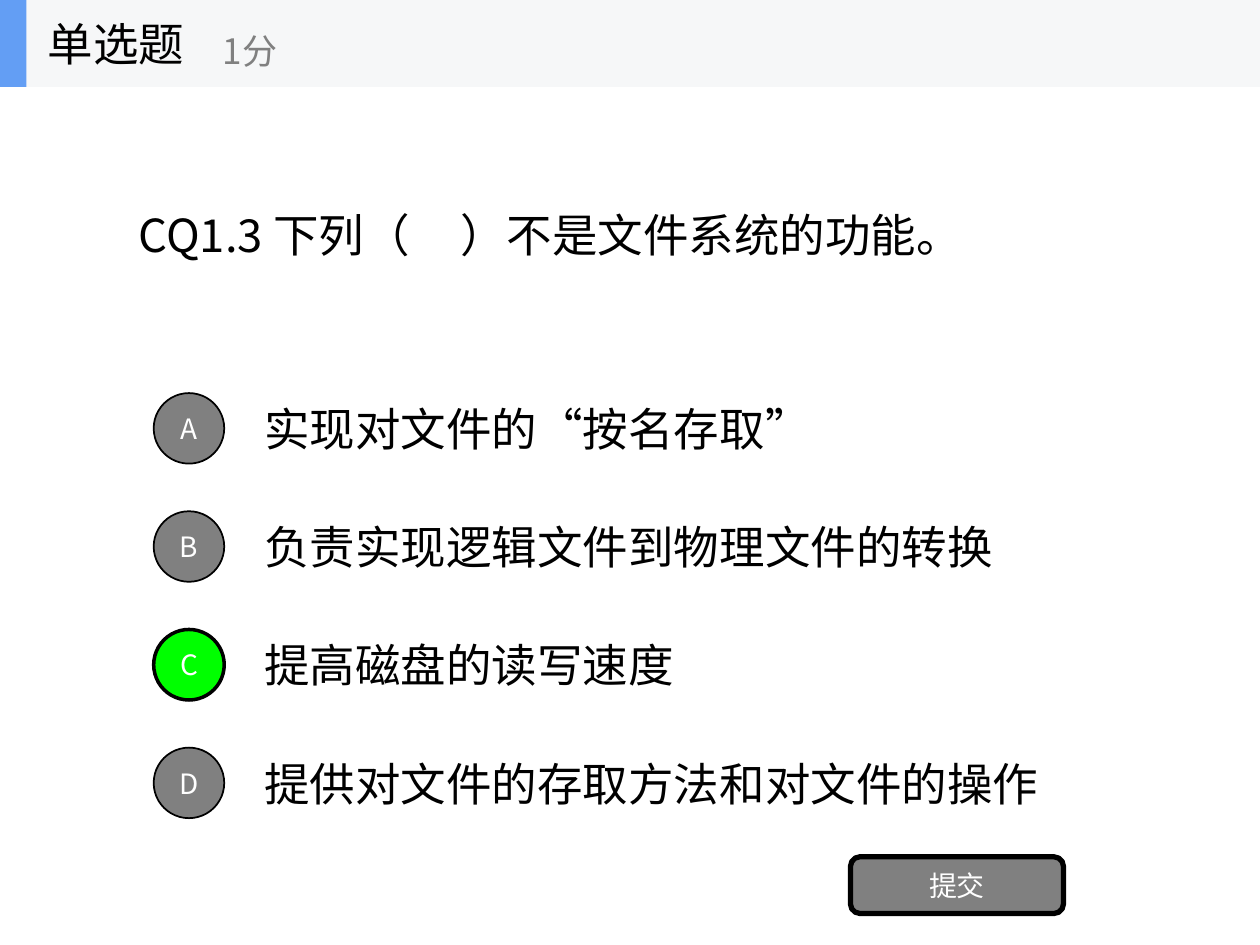
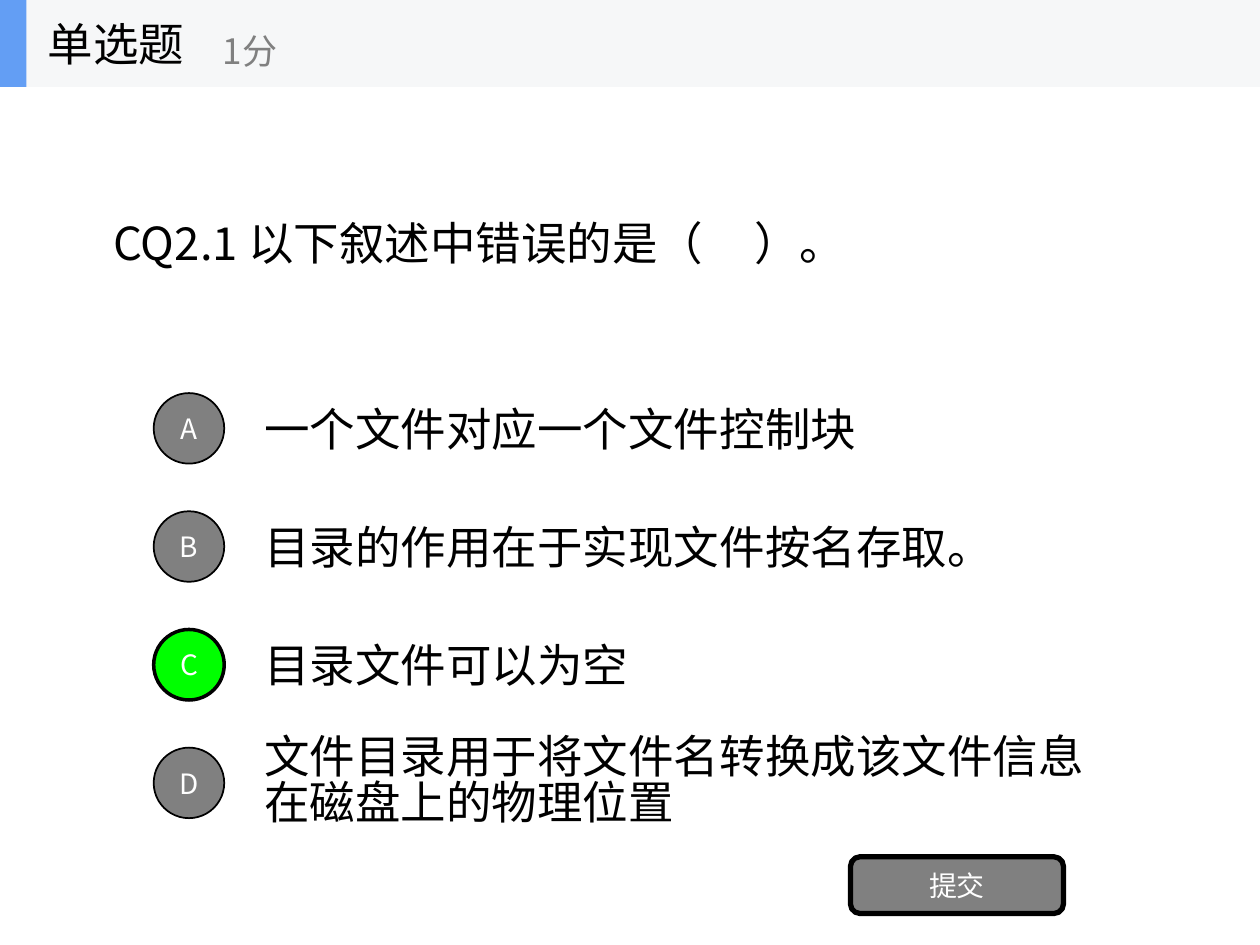
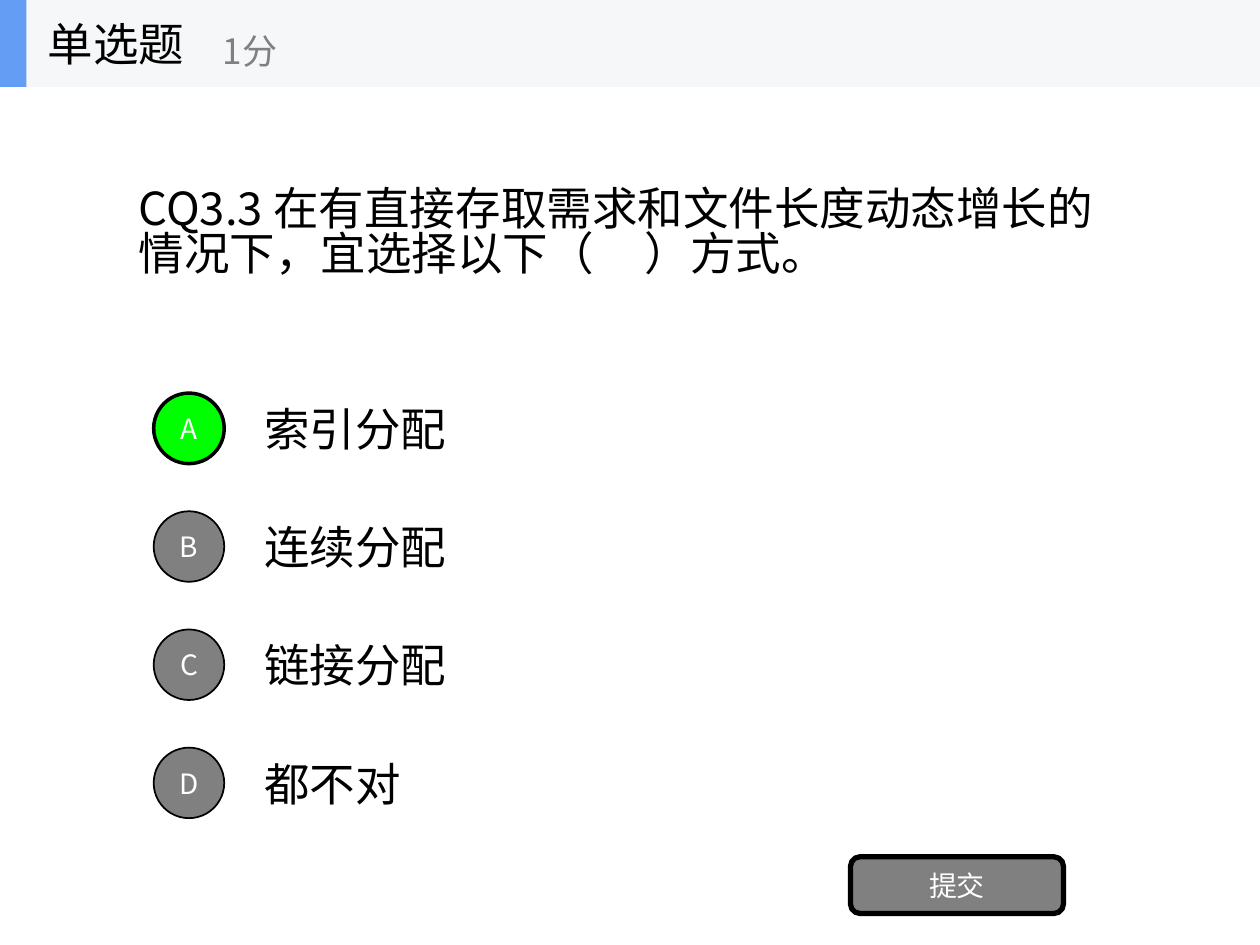
from dataclasses import dataclass

from lxml import etree
from pptx import Presentation
from pptx.dml.color import RGBColor
from pptx.enum.shapes import MSO_SHAPE
from pptx.enum.text import MSO_ANCHOR, MSO_AUTO_SIZE, PP_ALIGN
from pptx.oxml.ns import qn
from pptx.util import Inches, Pt

RECT = MSO_SHAPE.RECTANGLE
ROUNDED = MSO_SHAPE.ROUNDED_RECTANGLE
CIRCLE = MSO_SHAPE.OVAL
MIDDLE = MSO_ANCHOR.MIDDLE
NO_FIT = MSO_AUTO_SIZE.NONE
LEFT = PP_ALIGN.LEFT
CENTER = PP_ALIGN.CENTER

FONT = "Noto Sans CJK SC"
BLACK = "000000"
WHITE = "FFFFFF"
GRAY = "808080"
GREEN = "00FF00"
BLUE = "639EF4"
BAND = "F6F7F8"

WIDTH, HEIGHT = Inches(10), Inches(7.5)
COLUMNS, ROWS = 100, 75
TITLE_ONLY = 5
LINE_SPACING = 0.83
OPTION_PITCH = 9.38


@dataclass
class Box:
    left: float
    top: float
    width: float
    height: float

    def inner(self, left, top, width, height):
        return Box(self.left + left, self.top + top, width, height)

    def lengths(self):
        column, row = WIDTH / COLUMNS, HEIGHT / ROWS
        return (round(self.left * column), round(self.top * row),
                round(self.width * column), round(self.height * row))


PAGE = Box(0, 0, COLUMNS, ROWS)
HEADER = PAGE.inner(0, 0, COLUMNS, 6.9)
OPTIONS = PAGE.inner(12.2, 30.5, 77.8, 4 * OPTION_PITCH)
SUBMIT = PAGE.inner(67.5, 68, 16.9, 4.5)


def color(hex_value):
    return RGBColor.from_string(hex_value)


def write(shape, text, size=26, ink=BLACK, align=LEFT, spacing=None, inset=None):
    frame = shape.text_frame
    frame.word_wrap = True
    frame.auto_size = NO_FIT
    frame.vertical_anchor = MIDDLE
    if inset is not None:
        frame.margin_left = frame.margin_right = inset
        frame.margin_top = frame.margin_bottom = inset
    paragraph = frame.paragraphs[0]
    paragraph.alignment = align
    paragraph.line_spacing = spacing
    run = paragraph.add_run()
    run.text = text
    run.font.size = Pt(size)
    run.font.name = FONT
    run.font.color.rgb = color(ink)
    etree.SubElement(run.font._element, qn("a:ea"), typeface=FONT)


def add_label(shapes, box, text, **style):
    write(shapes.add_textbox(*box.lengths()), text, **style)


def add_block(shapes, kind, box, fill, line_width=0):
    block = shapes.add_shape(kind, *box.lengths())
    block.shadow.inherit = False
    block.fill.solid()
    block.fill.fore_color.rgb = color(fill)
    if line_width:
        block.line.color.rgb = color(BLACK)
        block.line.width = Pt(line_width)
    else:
        block.line.fill.background()
    return block


def add_question(slide, box, question):
    title = slide.shapes.title
    title.left, title.top, title.width, title.height = box.lengths()
    write(title, question, spacing=LINE_SPACING if len(question) > 30 else None)


def add_options(slide, box, options, answer):
    for index, (letter, option) in enumerate(zip("ABCD", options)):
        row = box.inner(0, index * OPTION_PITCH, box.width, 7)
        add_label(slide.shapes, row.inner(7.8, 0, 70, 7), option,
                  spacing=LINE_SPACING if len(option) > 20 else None)
        correct = letter == answer
        badge = add_block(slide.shapes, CIRCLE, row.inner(0, 0.7, 5.6, 5.6),
                          GREEN if correct else GRAY, 2 if correct else 1)
        write(badge, letter, size=16, ink=WHITE, align=CENTER, inset=0)


def add_submit(slide, box):
    button = add_block(slide.shapes, ROUNDED, box, GRAY, 3)
    write(button, "提交", size=16, ink=WHITE, align=CENTER, inset=0)


def add_header(slide, box):
    header = slide.shapes.add_group_shape().shapes
    add_block(header, RECT, box, BAND)
    add_block(header, RECT, box.inner(0, 0, 2.1, box.height), BLUE)
    add_label(header, box.inner(2.8, 0, 20.8, box.height), "单选题")
    add_label(header, box.inner(16.7, 1.2, 25, 5.6), "1分", size=20, ink=GRAY)


def add_quiz_slide(deck, question, options, answer, corner=(10, 6.9)):
    slide = deck.slides.add_slide(deck.slide_layouts[TITLE_ONLY])
    add_question(slide, PAGE.inner(*corner, 80, 23.4), question)
    add_options(slide, OPTIONS, options, answer)
    add_submit(slide, SUBMIT)
    add_header(slide, HEADER)


def main():
    deck = Presentation()
    deck.slide_width, deck.slide_height = WIDTH, HEIGHT
    add_quiz_slide(
        deck, "CQ1.3 下列（     ）不是文件系统的功能。",
        ["实现对文件的“按名存取”", "负责实现逻辑文件到物理文件的转换",
         "提高磁盘的读写速度", "提供对文件的存取方法和对文件的操作"], "C")
    add_quiz_slide(
        deck, "CQ2.1 以下叙述中错误的是（     ）。",
        ["一个文件对应一个文件控制块", "目录的作用在于实现文件按名存取。",
         "目录文件可以为空",
         "文件目录用于将文件名转换成该文件信息在磁盘上的物理位置"],
        "C", corner=(8, 7.5))
    add_quiz_slide(
        deck, "CQ3.3 在有直接存取需求和文件长度动态增长的情况下，宜选择以下（     ）方式。",
        ["索引分配", "连续分配", "链接分配", "都不对"], "A")
    deck.save("out.pptx")


if __name__ == "__main__":
    main()
